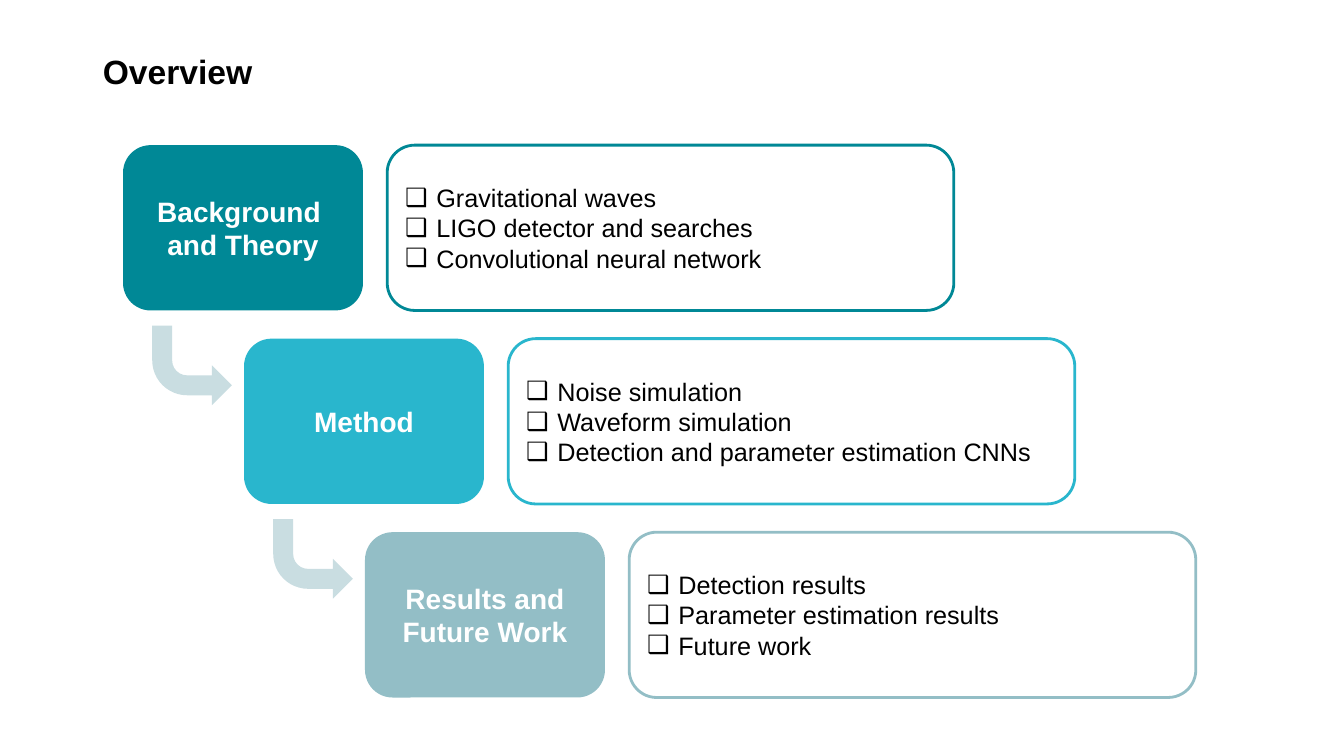
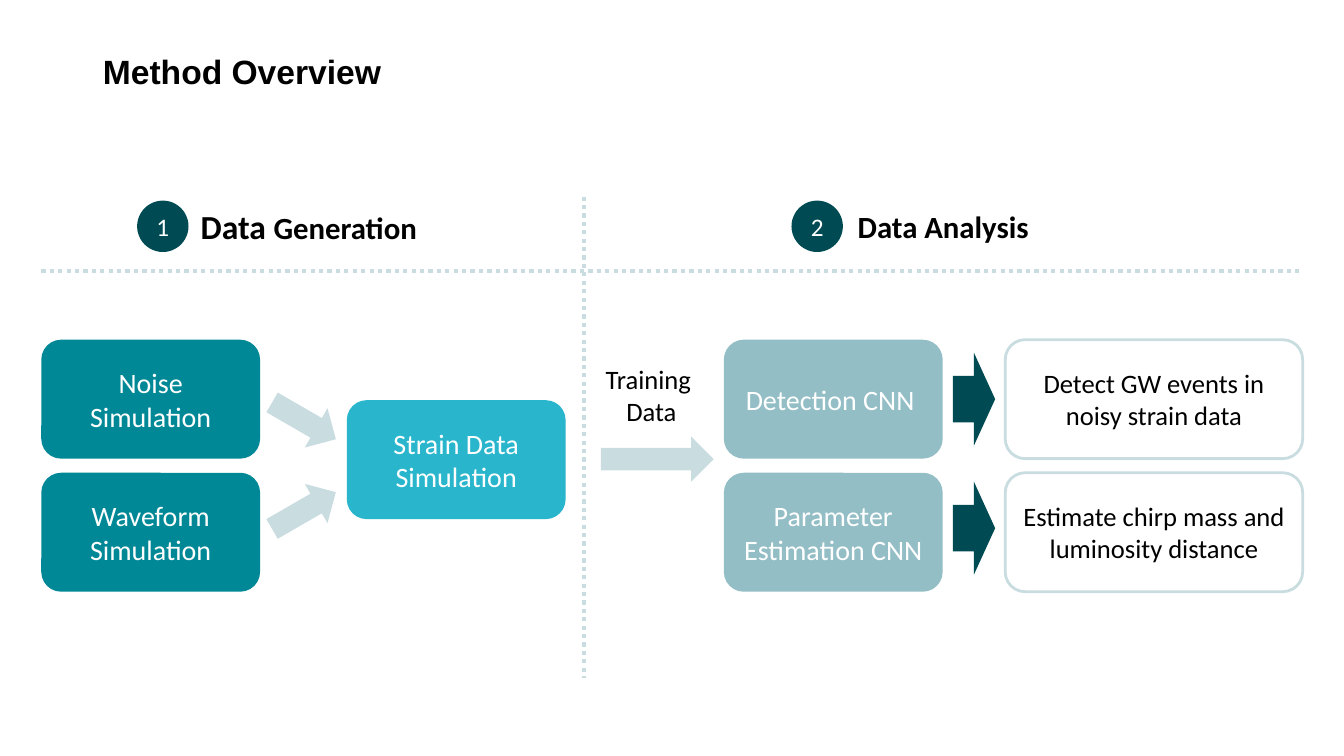
from dataclasses import dataclass

from lxml.etree import SubElement
from pptx import Presentation
from pptx.dml.color import RGBColor
from pptx.enum.dml import MSO_LINE
from pptx.enum.shapes import MSO_CONNECTOR, MSO_SHAPE as Preset
from pptx.enum.text import MSO_ANCHOR, PP_ALIGN as Align
from pptx.oxml.ns import qn
from pptx.util import Inches, Pt


@dataclass(frozen=True)
class Theme:
    black: str = "000000"
    white: str = "FFFFFF"
    dark: str = "004B53"
    teal: str = "008896"
    cyan: str = "29B6CD"
    sage: str = "93BEC6"
    pale: str = "C9DDE1"
    heading_font: str = "Arial"
    diagram_font: str = "Calibri"
    title_size: int = 24
    header_size: int = 22
    block_size: int = 20
    note_size: int = 19
    list_size: int = 18
    outline: int = 2
    rule: int = 3


class Deck:
    """Hold the theme and the current page, and draw each kind of element on it."""

    def __init__(self, theme):
        self.theme = theme
        self.file = Presentation()
        self.file.slide_width = Inches(13.33)
        self.file.slide_height = Inches(7.5)
        self.page = None

    def add_page(self, title):
        self.page = self.file.slides.add_slide(self.file.slide_layouts[5])
        box = self.page.shapes.title
        box.left, box.top, box.width, box.height = map(Inches, (0.92, 0.01, 11.5, 1.45))
        frame = self.set_text(box, [title], self.theme.title_size, self.theme.black,
                              self.theme.heading_font, bold=True, align=Align.LEFT)
        frame.paragraphs[0].line_spacing = 0.9

    def set_text(self, box, lines, size, color, font, bold=False, align=Align.CENTER,
                 bullet=None, anchor=MSO_ANCHOR.MIDDLE):
        frame = box.text_frame
        frame.word_wrap = True
        frame.vertical_anchor = anchor
        for index, line in enumerate(lines):
            para = frame.paragraphs[0] if index == 0 else frame.add_paragraph()
            para.alignment = align
            if bullet:
                self.add_bullet(para, bullet)
            para.font.size = Pt(size)
            para.font.name = font
            para.font.bold = bold
            para.font.color.rgb = RGBColor.from_string(color)
            if isinstance(line, str):
                para.add_run().text = line
            else:
                for text, span_size in line:
                    span = para.add_run()
                    span.text = text
                    span.font.size = Pt(span_size)
        return frame

    def add_bullet(self, para, mark):
        props = para._p.get_or_add_pPr()
        props.set("marL", str(Inches(0.31)))
        props.set("indent", str(Inches(-0.31)))
        color = SubElement(props, qn("a:buClr"))
        SubElement(color, qn("a:srgbClr"), val=self.theme.black)
        SubElement(props, qn("a:buFont"), typeface=self.theme.heading_font)
        SubElement(props, qn("a:buChar"), char=mark)

    def add_shape(self, preset, at, fill, outline=None, rotation=0):
        shape = self.page.shapes.add_shape(preset, *map(Inches, at))
        shape.shadow.inherit = False
        shape.rotation = rotation
        shape.fill.solid()
        shape.fill.fore_color.rgb = RGBColor.from_string(fill)
        if outline:
            shape.line.color.rgb = RGBColor.from_string(outline)
            shape.line.width = Pt(self.theme.outline)
        else:
            shape.line.fill.background()
        return shape

    def add_block(self, at, lines, fill, font=None, bold=False):
        box = self.add_shape(Preset.ROUNDED_RECTANGLE, at, fill)
        self.set_text(box, lines, self.theme.block_size, self.theme.white,
                      font or self.theme.diagram_font, bold)

    def add_list(self, at, items, outline):
        box = self.add_shape(Preset.ROUNDED_RECTANGLE, at, self.theme.white, outline)
        frame = self.set_text(box, items, self.theme.list_size, self.theme.black,
                              self.theme.heading_font, align=Align.LEFT, bullet="❑")
        frame.margin_top = frame.margin_bottom = Inches(0.1)

    def add_outcome(self, at, text):
        box = self.add_shape(Preset.ROUNDED_RECTANGLE, at, self.theme.white, self.theme.pale)
        self.set_text(box, [text], self.theme.note_size, self.theme.black,
                      self.theme.diagram_font)

    def add_label(self, at, lines):
        box = self.page.shapes.add_textbox(*map(Inches, at))
        self.set_text(box, lines, self.theme.note_size, self.theme.black,
                      self.theme.diagram_font, anchor=MSO_ANCHOR.TOP)

    def add_header(self, at, line):
        box = self.add_shape(Preset.ROUNDED_RECTANGLE, at, self.theme.white)
        self.set_text(box, [line], self.theme.header_size, self.theme.black,
                      self.theme.diagram_font, bold=True)

    def add_badge(self, left, top, text):
        box = self.add_shape(Preset.OVAL, (left, top, 0.51, 0.51), self.theme.dark)
        self.set_text(box, [text], self.theme.list_size, self.theme.white,
                      self.theme.diagram_font)

    def add_arrow(self, at, fill, rotation=0):
        self.add_shape(Preset.RIGHT_ARROW, at, fill, rotation=rotation)

    def add_bent_arrow(self, left, top):
        arrow = self.add_shape(Preset.BENT_ARROW, (left, top, 0.79, 0.79), self.theme.pale)
        arrow.element.spPr.find(qn("a:xfrm")).set("flipV", "1")

    def add_rule(self, *ends):
        rule = self.page.shapes.add_connector(MSO_CONNECTOR.STRAIGHT, *map(Inches, ends))
        rule.line.color.rgb = RGBColor.from_string(self.theme.pale)
        rule.line.width = Pt(self.theme.rule)
        rule.line.dash_style = MSO_LINE.ROUND_DOT
        SubElement(rule.element.spPr, qn("a:effectLst"))


def build_overview(deck):
    theme = deck.theme
    steps = [
        (["Background ", "and Theory"], theme.teal,
         ["Gravitational waves", "LIGO detector and searches", "Convolutional neural network"]),
        (["Method"], theme.cyan,
         ["Noise simulation", "Waveform simulation", "Detection and parameter estimation CNNs"]),
        (["Results and Future Work"], theme.sage,
         ["Detection results", "Parameter estimation results", "Future work"]),
    ]
    deck.add_page("Overview")
    for index, (heading, color, items) in enumerate(steps):
        left, top = 1.22 + 1.2 * index, 1.44 + 1.92 * index
        deck.add_list((left + 2.62, top, 5.62, 1.64), items, color)
        deck.add_block((left, top, 2.38, 1.64), heading, color, theme.heading_font, bold=True)
        if index < len(steps) - 1:
            deck.add_bent_arrow(left + 0.29, top + 1.79)


def build_method(deck):
    theme = deck.theme
    margin, divider, right = 0.41, 5.79, 12.92
    block_width, block_height = 2.17, 1.18
    rows = [
        ("Noise Simulation", "Detection CNN ", "Detect GW events in noisy strain data", 30),
        ("Waveform Simulation", "Parameter Estimation CNN",
         "Estimate chirp mass and luminosity distance", 330),
    ]
    big, small = theme.title_size, theme.header_size
    sections = [
        (margin, divider, 1.36, [("Data ", big), ("Generation", small), (" ", big)]),
        (divider, right, 7.85, "Data Analysis"),
    ]
    deck.add_page("Method Overview")
    for index, (source, network, outcome, angle) in enumerate(rows):
        top = 3.37 + 1.32 * index
        deck.add_block((margin, top, block_width, block_height), [source], theme.teal)
        deck.add_arrow((2.65, 3.95 + 0.89 * index, 0.73, 0.45), theme.pale, angle)
        deck.add_block((7.18, top, block_width, block_height), [network], theme.sage)
        deck.add_arrow((9.45, 3.5 + 1.28 * index, 0.42, 0.92), theme.dark)
        deck.add_outcome((9.97, top, 2.95, block_height), outcome)
    deck.add_block((3.44, 3.97, block_width, block_height), ["Strain Data Simulation"], theme.cyan)
    deck.add_arrow((5.96, 4.33, 1.12, 0.45), theme.pale)
    deck.add_label((divider, 3.55, 1.34, 0.74), ["Training ", "Data"])
    for number, (start, end, badge_left, line) in enumerate(sections, 1):
        deck.add_header((start, 1.95, end - start, 0.59), line)
        deck.add_badge(badge_left, 1.99, str(number))
    deck.add_rule(margin, 2.69, right, 2.69)
    deck.add_rule(divider, 1.95, divider, 6.73)


def main():
    deck = Deck(Theme())
    build_overview(deck)
    build_method(deck)
    deck.file.save("out.pptx")


if __name__ == "__main__":
    main()
